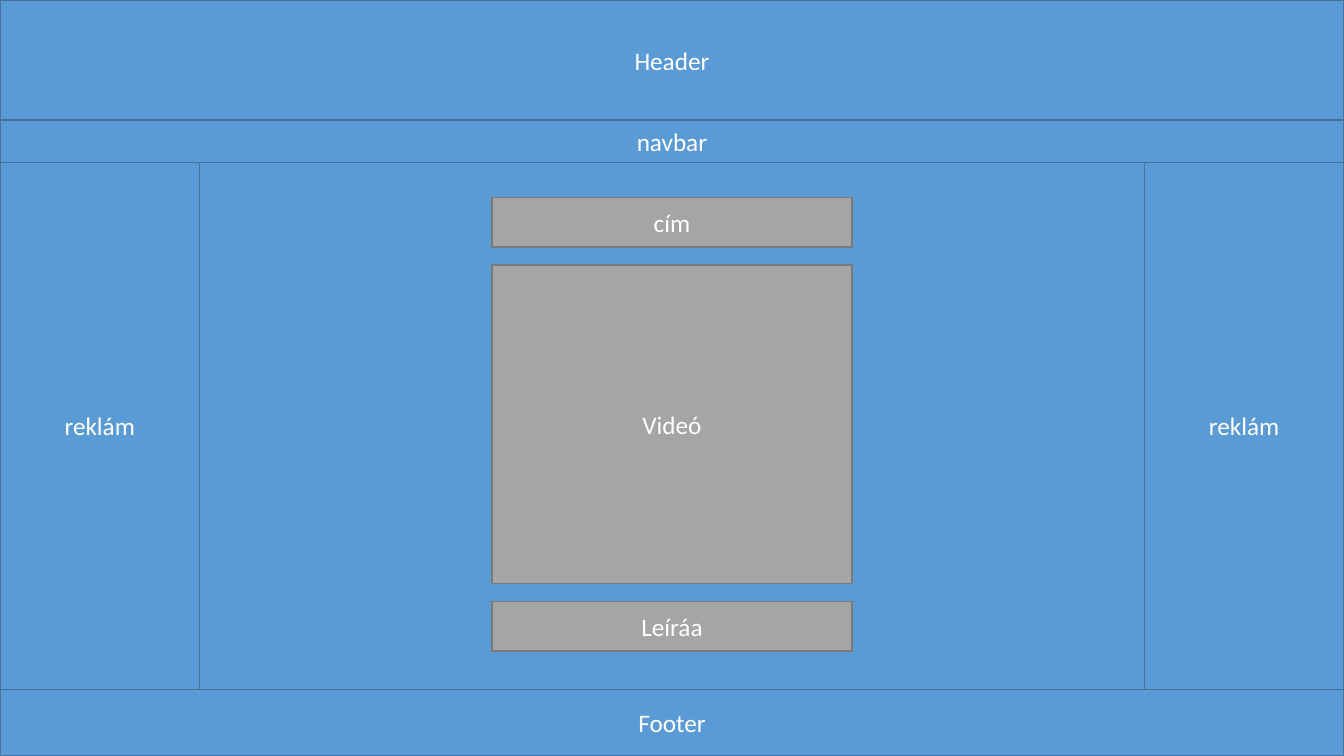
from pptx import Presentation
from pptx.dml.color import RGBColor
from pptx.enum.shapes import MSO_SHAPE
from pptx.enum.text import MSO_ANCHOR, PP_ALIGN
from pptx.util import Inches, Pt

RECTANGLE = MSO_SHAPE.RECTANGLE
MIDDLE = MSO_ANCHOR.MIDDLE
CENTER = PP_ALIGN.CENTER

# Page grid, in inches
WIDTH, HEIGHT = 13.33, 7.5
BANDS = [("Header", 1.19), ("navbar", 0.42), ("", 5.23), ("Footer", 0.66)]
BODY_TOP = sum(height for _, height in BANDS[:2])
BODY_HEIGHT = BANDS[2][1]
ADVERT_WIDTH = 1.98
CARDS = [("cím", 0.49), ("Videó", 3.16), ("Leíráa", 0.49)]
CARD_WIDTH, CARD_TOP, CARD_GAP = 3.57, 1.96, 0.18

# Fill and line colours
BLUE = ("5B9BD5", "43739E")
GRAY = ("A5A5A5", "7A7A7A")


def color(hex_string):
    return RGBColor.from_string(hex_string)


def add_block(slide, label, left, top, width, height, colors):
    """Add an outlined rectangle with a centred label."""
    fill, line = colors
    shape = slide.shapes.add_shape(
        RECTANGLE, Inches(left), Inches(top), Inches(width), Inches(height))
    shape.shadow.inherit = False
    shape.fill.solid()
    shape.fill.fore_color.rgb = color(fill)
    shape.line.color.rgb = color(line)
    shape.line.width = Pt(1)
    if label:
        shape.text_frame.text = label
        shape.text_frame.vertical_anchor = MIDDLE
        paragraph = shape.text_frame.paragraphs[0]
        paragraph.alignment = CENTER
        font = paragraph.runs[0].font
        font.name, font.size = "Calibri", Pt(18)
        font.color.rgb = color("FFFFFF")


def add_stack(slide, blocks, left, top, width, gap, colors):
    """Add blocks of one width below each other."""
    for label, height in blocks:
        add_block(slide, label, left, top, width, height, colors)
        top += height + gap


def main():
    presentation = Presentation()
    presentation.slide_width = Inches(WIDTH)
    presentation.slide_height = Inches(HEIGHT)
    slide = presentation.slides.add_slide(presentation.slide_layouts[6])

    # Full-width page bands
    add_stack(slide, BANDS, 0, 0, WIDTH, 0, BLUE)

    # Centred content cards
    card_left = (WIDTH - CARD_WIDTH) / 2
    add_stack(slide, CARDS, card_left, CARD_TOP, CARD_WIDTH, CARD_GAP, GRAY)

    # Adverts on both sides
    for left in (0, WIDTH - ADVERT_WIDTH):
        add_block(slide, "reklám", left, BODY_TOP, ADVERT_WIDTH, BODY_HEIGHT, BLUE)

    presentation.save("out.pptx")


if __name__ == "__main__":
    main()
